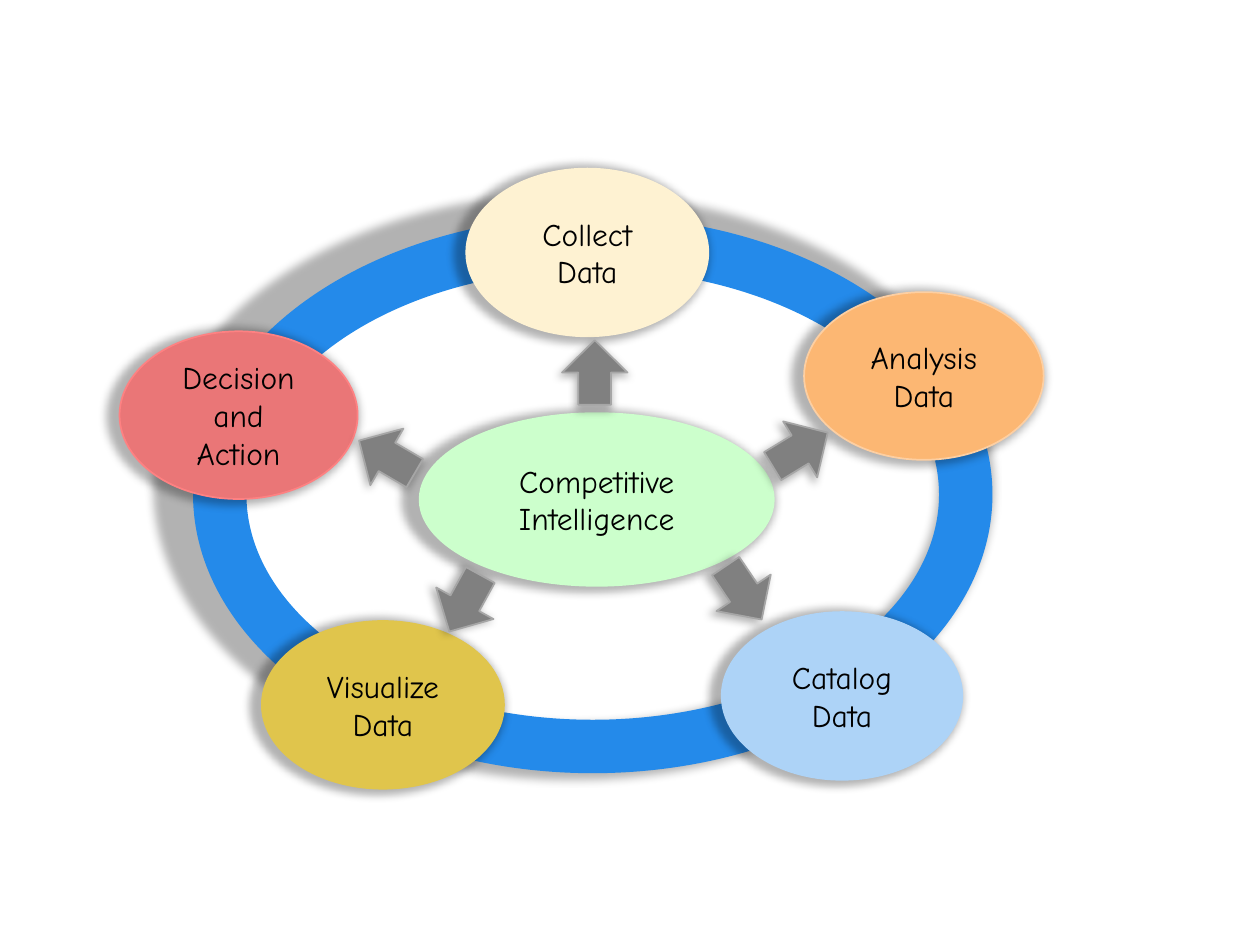
from lxml.etree import fromstring
from pptx import Presentation
from pptx.dml.color import RGBColor
from pptx.enum.shapes import MSO_SHAPE as Shape
from pptx.enum.text import MSO_ANCHOR as Anchor, PP_ALIGN as Align
from pptx.oxml.ns import nsdecls
from pptx.util import Cm, Pt

BLUE = RGBColor(0x24, 0x8A, 0xEA)
GREEN = RGBColor(0xCC, 0xFF, 0xCC)
CREAM = RGBColor(0xFE, 0xF2, 0xD2)
ORANGE = RGBColor(0xFC, 0xB7, 0x73)
PALE_ORANGE = RGBColor(0xFD, 0xCF, 0xA2)
SKY = RGBColor(0xAD, 0xD3, 0xF7)
GOLD = RGBColor(0xE0, 0xC5, 0x4C)
RED = RGBColor(0xEA, 0x76, 0x77)
PALE_RED = RGBColor(0xFE, 0x81, 0x82)
GREY = RGBColor(0x80, 0x80, 0x80)
PALE_GREY = RGBColor(0xA6, 0xA6, 0xA6)
BLACK = RGBColor(0, 0, 0)

SHADOW = f"""<a:effectLst {nsdecls('a')}>
  <a:outerShdw blurRad="63500" dist="38100" dir="5400000" sx="105000" sy="105000"
               algn="br" rotWithShape="0">
    <a:srgbClr val="000000"><a:alpha val="30000"/></a:srgbClr>
  </a:outerShdw>
</a:effectLst>"""


def add_shadowed(page, kind, place, fill, line):
    """Add a filled shape with a soft shadow; place is left, top, width, height in cm."""
    box = page.shapes.add_shape(kind, *[Cm(length) for length in place])
    box.fill.solid()
    box.fill.fore_color.rgb = fill
    box.line.color.rgb = line
    box.line.width = Pt(1)
    box._element.spPr.append(fromstring(SHADOW))
    return box


deck = Presentation()
deck.slide_width, deck.slide_height = Cm(25.4), Cm(19.05)
page = deck.slides.add_slide(deck.slide_layouts[6])

ring = add_shadowed(page, Shape.DONUT, (3.91, 4.37, 16.08, 11.2), BLUE, BLUE)
ring.adjustments[0] = 0.093

# Text, place in cm, fill, line
bubbles = [
    ("Competitive Intelligence", (8.46, 8.33, 7.14, 3.48), GREEN, GREEN),
    ("Collect Data", (9.4, 3.4, 4.88, 3.38), CREAM, CREAM),
    ("Analysis Data", (16.21, 5.89, 4.83, 3.38), ORANGE, PALE_ORANGE),
    ("Catalog Data", (14.55, 12.34, 4.85, 3.38), SKY, SKY),
    ("Visualize Data", (5.28, 12.52, 4.88, 3.38), GOLD, GOLD),
    ("Decision and Action", (2.41, 6.68, 4.8, 3.38), RED, PALE_RED),
]
font_format = {"name": "Comic Neue", "size": Pt(18)}
for text, place, fill, line in bubbles:
    box = add_shadowed(page, Shape.OVAL, place, fill, line)
    box.text_frame.word_wrap = True
    box.text_frame.vertical_anchor = Anchor.MIDDLE
    para = box.text_frame.paragraphs[0]
    para.alignment = Align.CENTER
    span = para.add_run()
    span.text = text
    for name, value in font_format.items():
        setattr(span.font, name, value)
    span.font.color.rgb = BLACK

# Left and top in cm, rotation in degrees
arrows = [
    (11.33, 6.86, 0),
    (15.47, 8.41, 58.7),
    (14.33, 11.3, 146),
    (8.71, 11.51, 208.8),
    (7.14, 8.56, 300.3),
]
for left, top, angle in arrows:
    arrow = add_shadowed(page, Shape.UP_ARROW, (left, top, 1.32, 1.3), GREY, PALE_GREY)
    arrow.rotation = angle

deck.save("out.pptx")
